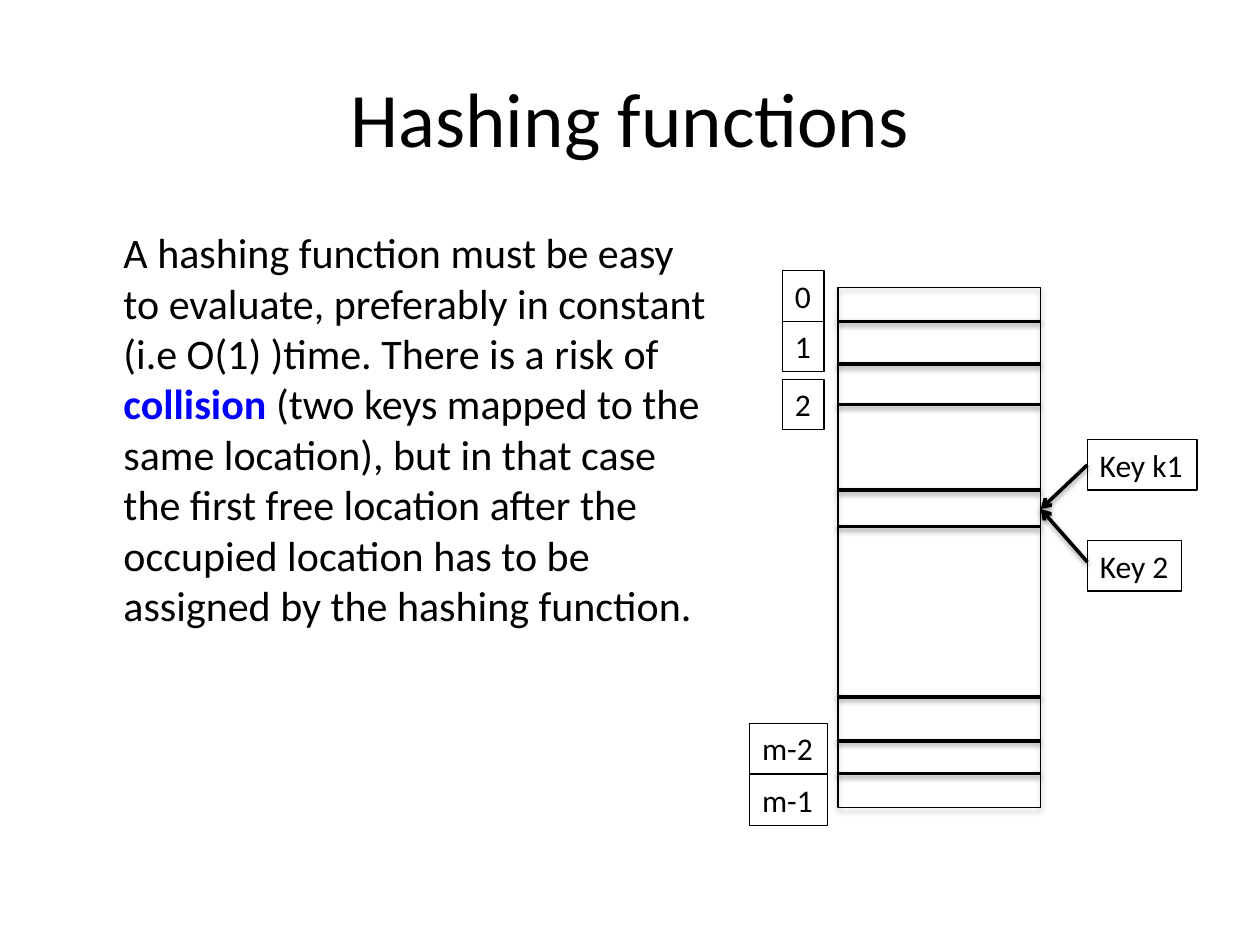
from dataclasses import dataclass

from lxml.etree import SubElement
from pptx import Presentation
from pptx.dml.color import RGBColor
from pptx.enum.shapes import MSO_CONNECTOR, MSO_SHAPE
from pptx.enum.text import MSO_ANCHOR, MSO_AUTO_SIZE, PP_ALIGN
from pptx.oxml.ns import qn
from pptx.util import Inches, Pt


@dataclass(frozen=True)
class Theme:
    font: str = "Calibri"
    ink: RGBColor = RGBColor(0, 0, 0)
    accent: RGBColor = RGBColor(0, 0, 255)
    title_size: int = 44
    body_size: int = 24
    label_size: int = 18
    outline: float = 0.75
    rule: float = 2


THEME = Theme()
TITLE = "Hashing functions"
BODY = [
    ("A hashing function must be easy to evaluate, preferably in constant "
     "(i.e O(1) )time. There is a risk of ", False),
    ("collision", True),
    (" (two keys mapped to the same location), but in that case the first free "
     "location after the occupied location has to be assigned by the hashing "
     "function.", False),
]

SLIDE_WIDTH, SLIDE_HEIGHT = 10, 7.5
MARGIN = SLIDE_WIDTH * 0.05
TABLE_LEFT, TABLE_TOP, TABLE_WIDTH, TABLE_HEIGHT = 6.65, 2.28, 1.61, 4.13
TABLE_RIGHT = TABLE_LEFT + TABLE_WIDTH
SLOT_RULES = [2.55, 2.89, 3.21, 3.89, 4.18, 5.53, 5.88, 6.14]
INDEX_LEFT, INDEX_WIDTH = 6.21, 0.33
LAST_LEFT, LAST_WIDTH = 5.95, 0.62
KEY_LEFT = 8.63
LABEL_HEIGHT = 0.4
LABELS = [
    ("0", INDEX_LEFT, 2.15, INDEX_WIDTH),
    ("1", INDEX_LEFT, 2.55, INDEX_WIDTH),
    ("2", INDEX_LEFT, 3.01, INDEX_WIDTH),
    ("m-2", LAST_LEFT, 5.74, LAST_WIDTH),
    ("m-1", LAST_LEFT, 6.15, LAST_WIDTH),
    ("Key k1", KEY_LEFT, 3.49, 0.87),
    ("Key 2", KEY_LEFT, 4.29, 0.75),
]
KEY_STARTS = [3.69, 4.46]
COLLISION_Y = 4.04


def style(span, size, color=THEME.ink, bold=False):
    span.font.name = THEME.font
    span.font.size = Pt(size)
    span.font.color.rgb = color
    span.font.bold = bold


def add_shadow(shape, distance, opacity):
    effects = SubElement(shape._element.spPr, qn("a:effectLst"))
    shadow = SubElement(effects, qn("a:outerShdw"), blurRad=str(Pt(3.1)),
                        dist=str(Pt(distance)), dir="5400000", rotWithShape="0")
    color = SubElement(shadow, qn("a:srgbClr"), val=str(THEME.ink))
    SubElement(color, qn("a:alpha"), val=str(opacity * 1000))


def add_rule(page, start, end, arrow=False):
    rule = page.shapes.add_connector(
        MSO_CONNECTOR.STRAIGHT, *(Inches(value) for value in (*start, *end)))
    rule.line.color.rgb = THEME.ink
    rule.line.width = Pt(THEME.rule)
    if arrow:
        SubElement(rule.line._get_or_add_ln(), qn("a:tailEnd"), type="arrow")
    add_shadow(rule, 1.6, 38)


def add_title(page):
    title = page.shapes.title
    title.left, title.top = Inches(MARGIN), Inches(SLIDE_HEIGHT * 0.04)
    title.width, title.height = Inches(SLIDE_WIDTH - 2 * MARGIN), Inches(1.25)
    title.text_frame.text = TITLE
    title.text_frame.vertical_anchor = MSO_ANCHOR.MIDDLE
    para = title.text_frame.paragraphs[0]
    para.alignment = PP_ALIGN.CENTER
    style(para.runs[0], THEME.title_size)


def add_body(page):
    box = page.shapes.add_textbox(
        Inches(MARGIN), Inches(1.75), Inches(5.22), Inches(4.8))
    frame = box.text_frame
    frame.word_wrap = True
    frame.margin_left = Inches(0.48)
    para = frame.paragraphs[0]
    for text, emphasized in BODY:
        span = para.add_run()
        span.text = text
        style(span, THEME.body_size,
              THEME.accent if emphasized else THEME.ink, emphasized)


def add_hash_table(page):
    table = page.shapes.add_shape(
        MSO_SHAPE.RECTANGLE, Inches(TABLE_LEFT), Inches(TABLE_TOP),
        Inches(TABLE_WIDTH), Inches(TABLE_HEIGHT))
    table.fill.background()
    table.line.color.rgb = THEME.ink
    table.line.width = Pt(THEME.outline)
    add_shadow(table, 1.8, 35)
    for y in SLOT_RULES:
        add_rule(page, (TABLE_LEFT, y), (TABLE_RIGHT, y))


def add_label(page, text, left, top, width):
    box = page.shapes.add_textbox(
        Inches(left), Inches(top), Inches(width), Inches(LABEL_HEIGHT))
    box.line.color.rgb = THEME.ink
    box.line.width = Pt(THEME.outline)
    frame = box.text_frame
    frame.text = text
    frame.word_wrap = False
    frame.auto_size = MSO_AUTO_SIZE.SHAPE_TO_FIT_TEXT
    style(frame.paragraphs[0].runs[0], THEME.label_size)


def main():
    deck = Presentation()
    deck.slide_width, deck.slide_height = Inches(SLIDE_WIDTH), Inches(SLIDE_HEIGHT)
    page = deck.slides.add_slide(deck.slide_layouts.get_by_name("Title Only"))
    add_title(page)
    add_body(page)
    add_hash_table(page)
    for label in LABELS:
        add_label(page, *label)
    for y in KEY_STARTS:
        add_rule(page, (KEY_LEFT, y), (TABLE_RIGHT, COLLISION_Y), arrow=True)
    deck.save("out.pptx")


if __name__ == "__main__":
    main()
